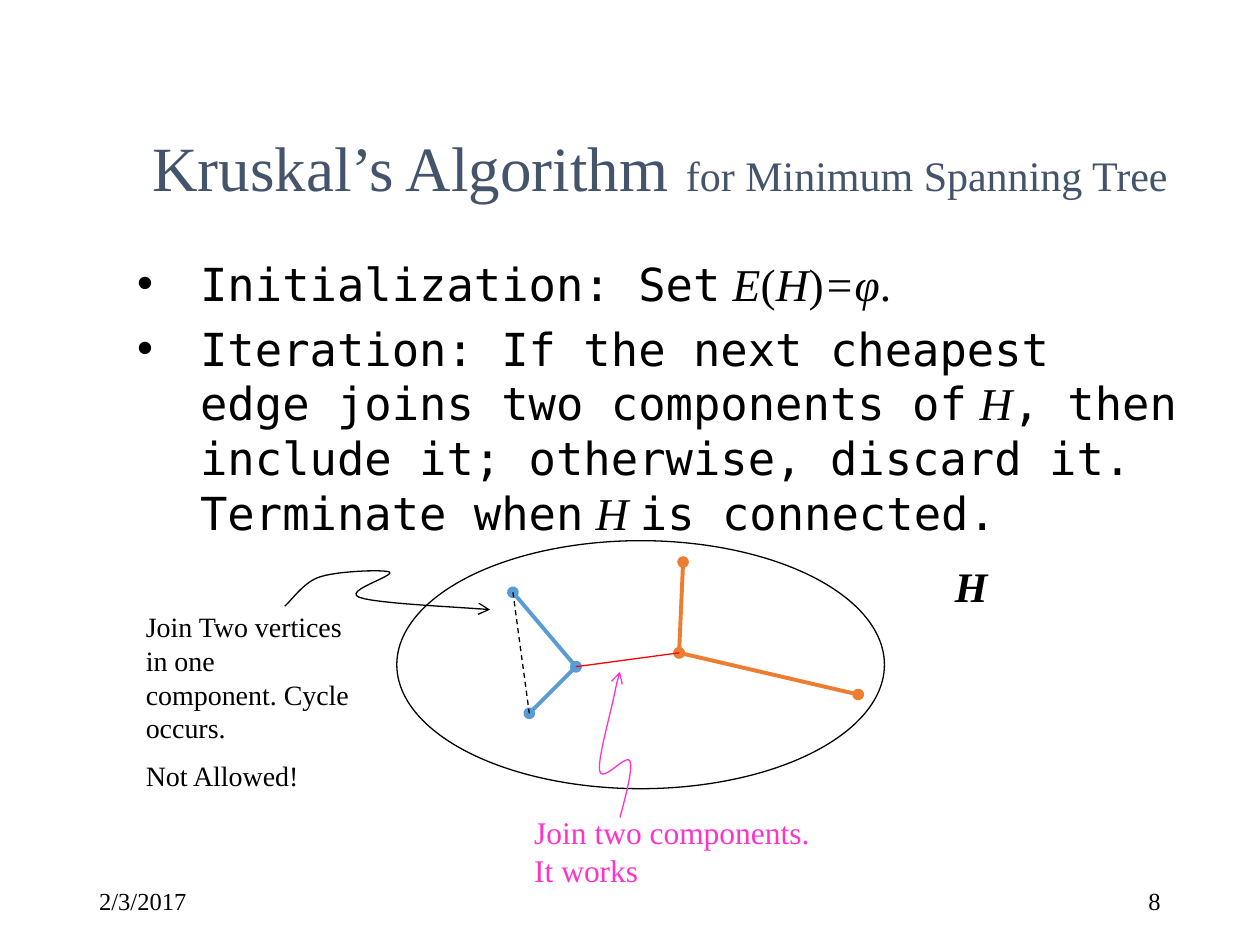
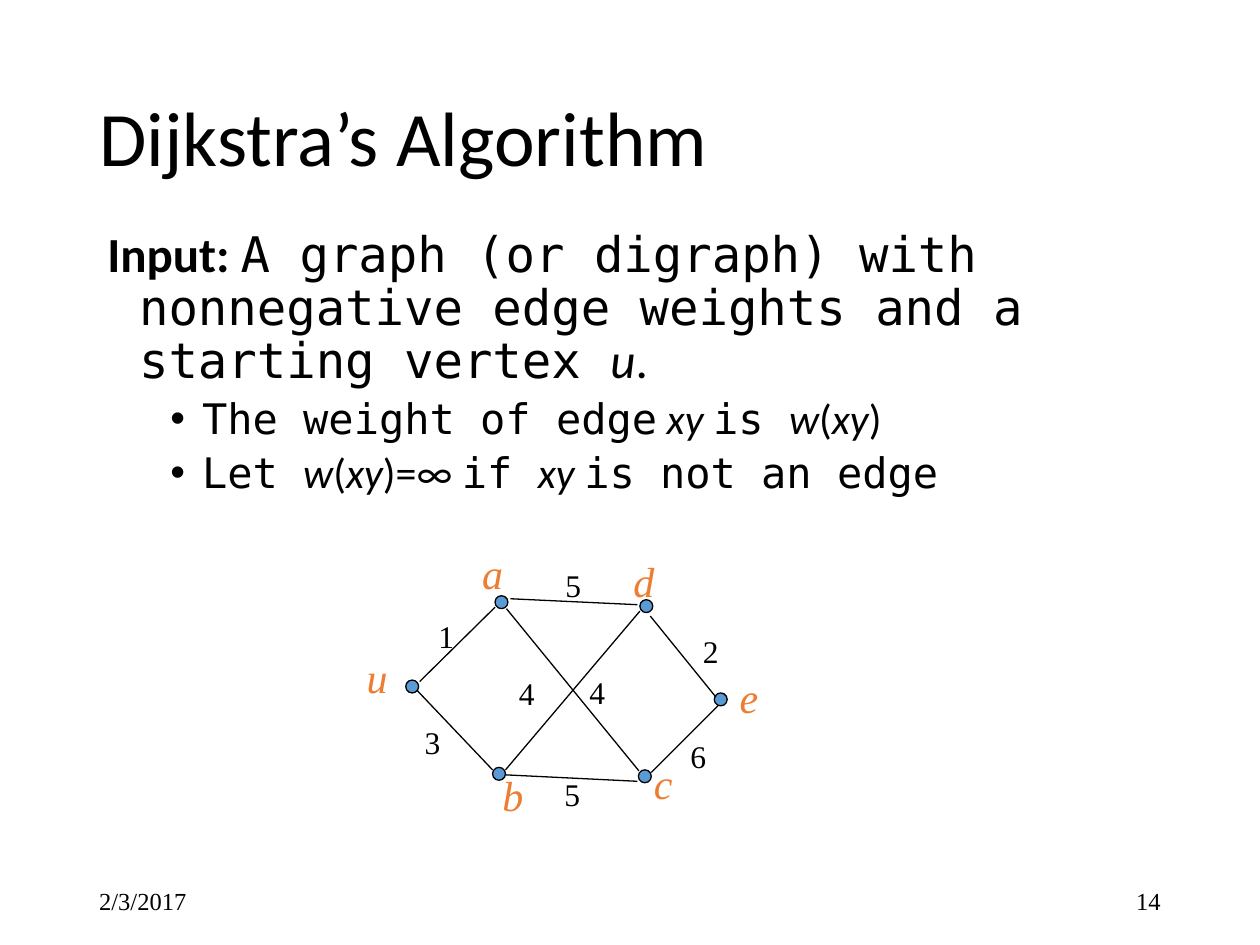
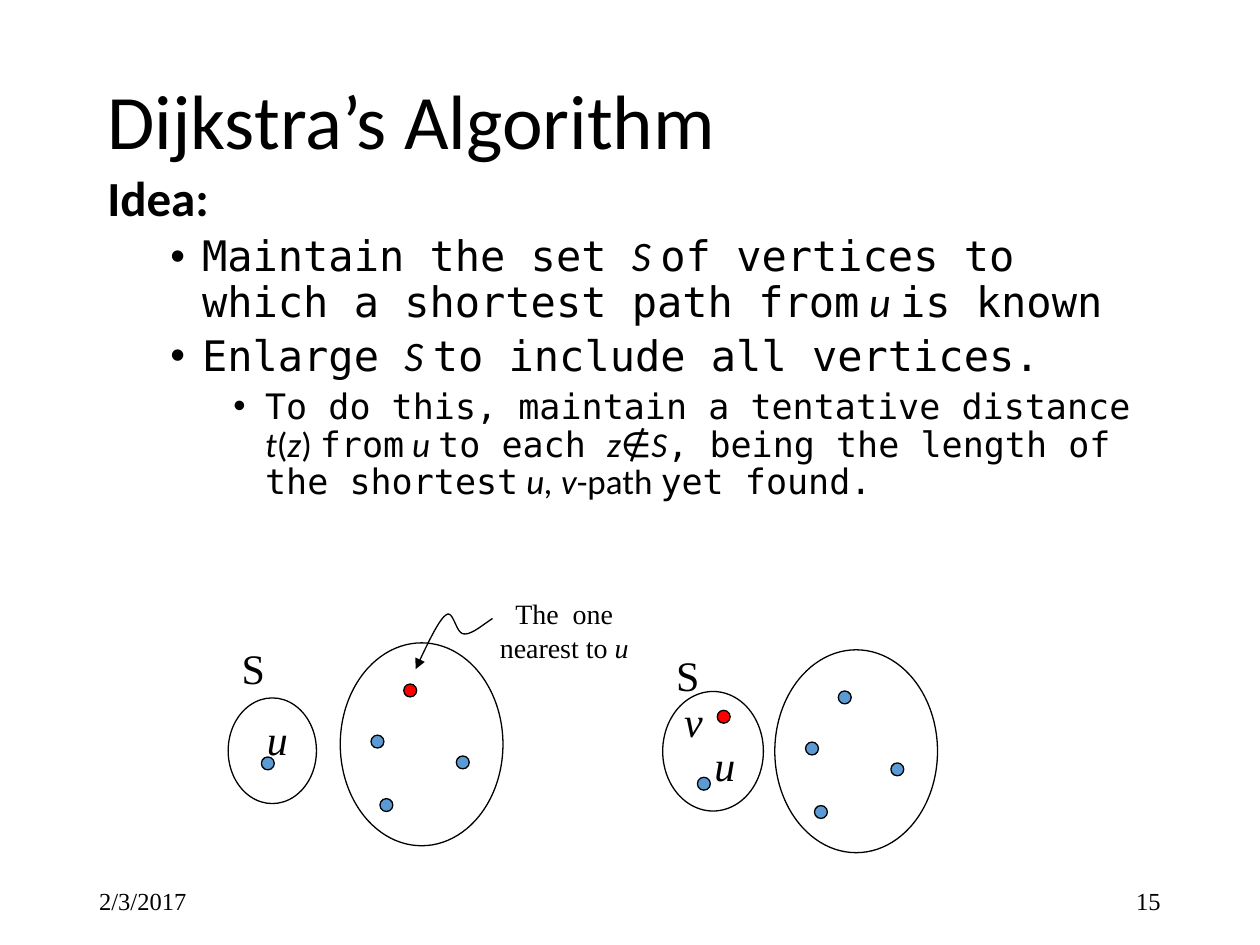
from dataclasses import dataclass
from typing import NamedTuple

from lxml.etree import SubElement
from pptx import Presentation
from pptx.dml.color import RGBColor
from pptx.enum.dml import MSO_LINE_DASH_STYLE as Dash
from pptx.enum.shapes import MSO_CONNECTOR as Connector, MSO_SHAPE as Shape
from pptx.enum.text import MSO_ANCHOR as Anchor, MSO_AUTO_SIZE as AutoSize, PP_ALIGN as Align
from pptx.oxml.ns import qn
from pptx.util import Cm, Pt


@dataclass(frozen=True)
class Theme:
    black: str = "000000"
    slate: str = "44546A"
    blue: str = "5B9BD5"
    orange: str = "ED7D31"
    red: str = "FF0000"
    pink: str = "FF33CC"
    serif: str = "Times New Roman"
    sans: str = "Calibri"
    mono: str = "DejaVu Sans Mono"
    title: int = 44
    label: int = 24
    weight: int = 18
    note: int = 16
    footer: int = 14
    thin: float = 0.75
    thick: float = 2.25
    dot: float = 0.26


THEME = Theme()
MONO = dict(font=THEME.mono)
MATH = dict(font=THEME.sans, italic=True)
PLAIN = dict(font=THEME.sans)
HEAD = dict(font=THEME.sans, bold=True)
SERIF = dict(font=THEME.serif)
SERIF_MATH = dict(font=THEME.serif, italic=True)


class Box(NamedTuple):
    """A region in centimetres."""
    left: float
    top: float
    width: float
    height: float

    def inner(self, x, y, width, height):
        return Box(self.left + x, self.top + y, width, height)

    def point(self, spot):
        return Cm(self.left + spot[0]), Cm(self.top + spot[1])

    def lengths(self):
        return [Cm(value) for value in self]


# Text

def add_span(para, text, font=THEME.serif, size=THEME.label, color=THEME.black,
             bold=False, italic=False):
    span = para.add_run()
    span.text = text
    span.font.name, span.font.size = font, Pt(size)
    span.font.bold, span.font.italic = bold, italic
    span.font.color.rgb = RGBColor.from_string(color)


def prepare_frame(frame, anchor=Anchor.TOP):
    frame.word_wrap = True
    frame.auto_size = AutoSize.NONE
    frame.vertical_anchor = anchor


def add_text(page, box, *lines, align=Align.LEFT, anchor=Anchor.TOP, gap=0, **style):
    """Each line is a string or a list of (text, format) spans."""
    frame = page.shapes.add_textbox(*box.lengths()).text_frame
    prepare_frame(frame, anchor)
    for number, line in enumerate(lines):
        para = frame.add_paragraph() if number else frame.paragraphs[0]
        para.alignment = align
        para.space_before = Pt(gap if number else 0)
        for text, extra in [(line, {})] if isinstance(line, str) else line:
            add_span(para, text, **{**style, **extra})


def place(holder, box):
    holder.left, holder.top, holder.width, holder.height = box.lengths()


def fill_title(page, box, *spans, align=Align.LEFT, spacing=0.9):
    title = page.shapes.title
    place(title, box)
    prepare_frame(title.text_frame, Anchor.MIDDLE)
    para = title.text_frame.paragraphs[0]
    para.alignment, para.line_spacing = align, spacing
    for text, style in spans:
        add_span(para, text, **style)


def fill_body(page, box, items, spacing=0.9):
    """Each item is (level, size, indent, hanging, gap, bulleted, spans)."""
    body = page.placeholders[1]
    place(body, box)
    frame = body.text_frame
    prepare_frame(frame)
    for number, (level, size, indent, hanging, gap, bulleted, spans) in enumerate(items):
        para = frame.add_paragraph() if number else frame.paragraphs[0]
        para.level, para.alignment = level, Align.LEFT
        para.line_spacing, para.space_before = spacing, Pt(gap)
        props = para._p.get_or_add_pPr()
        props.set("marL", str(Cm(indent)))
        props.set("indent", str(-Cm(hanging)))
        if bulleted:
            SubElement(props, qn("a:buFont"), typeface="Arial")
            SubElement(props, qn("a:buChar"), char="•")
        else:
            SubElement(props, qn("a:buNone"))
        for text, style in spans:
            add_span(para, text, size=size, **style)


def lead(*spans):
    return 0, 28, 0.64, 0.64, 10, False, spans


def bullet(level, *spans):
    return level, 28 - 4 * level, 0.64 + 1.27 * level, 0.64, 5, True, spans


def step(*spans):
    return 0, 26, 1.27, 1.27, 6, True, spans


# Drawing

def style_line(shape, color, width, dash=None, head=None, tail=None):
    shape.line.color.rgb = RGBColor.from_string(color)
    shape.line.width = Pt(width)
    if dash:
        shape.line.dash_style = dash
    outline = shape.element.spPr.find(qn("a:ln"))
    for tag, kind in (("a:headEnd", head), ("a:tailEnd", tail)):
        if kind:
            SubElement(outline, qn(tag), type=kind)


def add_line(page, box, start, end, color=THEME.black, width=THEME.thin, **ends):
    line = page.shapes.add_connector(Connector.STRAIGHT, *box.point(start), *box.point(end))
    style_line(line, color, width, **ends)
    SubElement(line.element.spPr, qn("a:effectLst"))


def add_ellipse(page, box, fill=None):
    ellipse = page.shapes.add_shape(Shape.OVAL, *box.lengths())
    ellipse.shadow.inherit = False
    if fill:
        ellipse.fill.solid()
        ellipse.fill.fore_color.rgb = RGBColor.from_string(fill)
    else:
        ellipse.fill.background()
    style_line(ellipse, THEME.black, THEME.thin)


def add_dot(page, box, center, fill=THEME.blue):
    x, y = (value - THEME.dot / 2 for value in center)
    add_ellipse(page, box.inner(x, y, THEME.dot, THEME.dot), fill)


def bezier(p0, p1, p2, p3, steps=12):
    for number in range(1, steps + 1):
        t = number / steps
        s = 1 - t
        yield tuple(s**3 * a + 3 * s * s * t * b + 3 * s * t * t * c + t**3 * d
                    for a, b, c, d in zip(p0, p1, p2, p3))


def add_curve(page, box, knots, color=THEME.black, **ends):
    """Knots are a start and then two controls and an end for each arc."""
    spots = [spot for first in range(0, len(knots) - 1, 3)
             for spot in bezier(*knots[first:first + 4])]
    builder = page.shapes.build_freeform(*box.point(knots[0]))
    builder.add_line_segments([box.point(spot) for spot in spots], close=False)
    curve = builder.convert_to_shape()
    curve.shadow.inherit = False
    curve.fill.background()
    style_line(curve, color, THEME.thin, **ends)


# Regions

def add_footer(page, box, number):
    style = dict(anchor=Anchor.MIDDLE, size=THEME.footer)
    add_text(page, box.inner(0, 0, 5.72, box.height), "2/3/2017", **style)
    add_text(page, box.inner(box.width - 5.72, 0, 5.72, box.height), str(number),
             align=Align.RIGHT, **style)


def draw_components(page, box):
    add_ellipse(page, box.inner(5.31, 0, 9.83, 5))
    add_text(page, box.inner(16.31, 0.28, 2.29, 1.27), "H", bold=True, italic=True)

    # Two components
    blue_top, blue_hub, blue_low = (7.65, 1.04), (8.92, 2.54), (7.98, 3.48)
    orange_top, orange_hub, orange_end = (11.08, 0.43), (11, 2.26), (14.61, 3.1)
    for start, end, color in ((blue_top, blue_hub, THEME.blue),
                              (blue_hub, blue_low, THEME.blue),
                              (orange_end, orange_hub, THEME.orange),
                              (orange_hub, orange_top, THEME.orange)):
        add_line(page, box, start, end, color, THEME.thick, head="oval", tail="oval")

    # Rejected edge
    add_line(page, box, blue_top, blue_low, dash=Dash.DASH)
    add_curve(page, box, [
        (3.05, 1.32), (3.18, 1.22), (3.43, 0.83), (3.76, 0.73), (4.12, 0.61),
        (5.03, 0.58), (5.16, 0.63), (5.29, 0.71), (4.22, 1.01), (4.55, 1.14),
        (4.88, 1.27), (6.63, 1.34), (7.19, 1.39)], tail="arrow")
    add_text(page, box.inner(0, 1.27, 4.6, 3.3),
             "Join Two vertices in one component. Cycle occurs.", "Not Allowed!",
             size=THEME.note, gap=8)

    # Accepted edge
    add_line(page, box, blue_hub, orange_hub, THEME.red)
    add_curve(page, box, [
        (9.81, 5.58), (9.86, 5.38), (10.09, 4.59), (10.01, 4.44), (9.93, 4.29),
        (9.45, 4.9), (9.4, 4.64), (9.35, 4.42), (9.65, 3.37), (9.71, 3.04),
        (9.78, 2.71), (9.78, 2.69), (9.81, 2.64)], THEME.pink, tail="arrow")
    add_text(page, box.inner(7.83, 5.36, 6.4, 1.78), "Join two components. It works",
             size=THEME.weight, color=THEME.pink)


def draw_weighted_graph(page, box):
    # Name, centre, label corner
    vertices = [("a", (2.97, 1.22), (2.33, 0)), ("d", (5.89, 1.3), (5.38, 0.15)),
                ("e", (7.39, 3.18), (7.52, 2.49)), ("c", (5.86, 4.73), (5.79, 4.22)),
                ("b", (2.92, 4.68), (2.74, 4.47)), ("u", (1.17, 2.92), (0, 2.08))]
    # Weight, start, end, label corner
    edges = [(1, (1.32, 2.82), (2.84, 1.32), (1.45, 1.4)),
             (3, (1.27, 3), (2.79, 4.6), (1.17, 3.53)),
             (5, (3.15, 1.15), (5.71, 1.27), (4.01, 0.36)),
             (4, (3.07, 1.35), (5.74, 4.62), (4.49, 2.52)),
             (5, (3.05, 4.7), (5.71, 4.83), (3.99, 4.57)),
             (4, (3.05, 4.6), (5.76, 1.4), (3.07, 2.54)),
             (6, (5.99, 4.65), (7.34, 3.3), (6.53, 3.81)),
             (2, (5.97, 1.5), (7.29, 3.13), (6.78, 1.7))]
    for name, center, corner in vertices:
        add_dot(page, box, center)
        add_text(page, box.inner(*corner, 0.99, 1.27), name, color=THEME.orange, italic=True)
    for weight, start, end, corner in edges:
        add_line(page, box, start, end)
        add_text(page, box.inner(*corner, 0.99, 1.02), str(weight), size=THEME.weight)


def draw_vertex_sets(page, box, known, members, nearest):
    """Known is the outline of S, members are (name, centre, label corner, fill)."""
    add_ellipse(page, box.inner(*known))
    add_ellipse(page, box.inner(2.26, 0.13, 3.28, 4.09))
    add_text(page, box.inner(0.02, 0, 1.37, 1.3), "S")
    for name, center, corner, fill in members:
        add_text(page, box.inner(*corner, 1.27, 1.3), name, italic=True)
        add_dot(page, box, center, fill)
    add_dot(page, box, (3.67, 1.09), nearest)
    for center in ((3.01, 2.12), (3.19, 3.4), (4.73, 2.54)):
        add_dot(page, box, center)


def draw_nearest_note(page, box):
    add_text(page, box.inner(1.42, 0, 3.15, 1.63),
             [("The  one nearest to ", {}), ("u", dict(italic=True))],
             align=Align.CENTER, size=THEME.note)
    add_curve(page, box, [
        (0, 1.58), (0.23, 1.09), (0.46, 0.59), (0.61, 0.49), (0.76, 0.36),
        (0.81, 0.87), (0.97, 0.87), (1.12, 0.89), (1.32, 0.71), (1.55, 0.56)],
        head="triangle")


# Slides

def build_kruskal(page):
    slate = dict(color=THEME.slate)
    fill_title(page, Box(2.51, 2.01, 21.59, 2.82),
               ("Kruskal’s Algorithm", dict(size=36, **slate)),
               (" ", dict(size=40, **slate)),
               ("for Minimum Spanning Tree", dict(size=24, **slate)),
               align=Align.CENTER, spacing=0.85)
    fill_body(page, Box(2.51, 5.03, 21.59, 4.9), [
        step(("Initialization: Set", MONO), (" E", SERIF_MATH), ("(", SERIF),
             ("H", SERIF_MATH), (")", SERIF), ("=φ", SERIF_MATH), (".", SERIF)),
        step(("Iteration: If the next cheapest edge joins two components of", MONO),
             (" H", SERIF_MATH),
             (", then include it; otherwise, discard it. Terminate when", MONO),
             (" H ", SERIF_MATH), ("is connected.", MONO)),
    ], spacing=1.0)
    draw_components(page, Box(2.69, 10.9, 18.6, 7.14))


def build_dijkstra_input(page):
    fill_title(page, Box(1.75, 1.02, 21.89, 3.68),
               ("Dijkstra’s Algorithm", dict(size=THEME.title, **PLAIN)))
    fill_body(page, Box(1.91, 4.52, 21.59, 5.16), [
        lead(("Input: ", HEAD),
             ("A graph (or digraph) with nonnegative edge weights and a starting vertex ", MONO),
             ("u", MATH), (".", PLAIN)),
        bullet(1, ("The weight of edge", MONO), (" xy ", MATH), ("is ", MONO), ("w", MATH),
               ("(", PLAIN), ("xy", MATH), (")", PLAIN)),
        bullet(1, ("Let ", MONO), ("w", MATH), ("(", PLAIN), ("xy", MATH), (")=∞ ", PLAIN),
               ("if ", MONO), ("xy ", MATH), ("is not an edge", MONO)),
    ])
    draw_weighted_graph(page, Box(7.14, 10.92, 8.51, 5.74))


def build_dijkstra_idea(page):
    fill_title(page, Box(1.91, 1.3, 21.59, 2.41),
               ("Dijkstra’s Algorithm", dict(size=THEME.title, **PLAIN)))
    fill_body(page, Box(1.91, 3.38, 21.59, 8.36), [
        lead(("Idea:", HEAD)),
        bullet(1, ("Maintain the set ", MONO), ("S ", MATH),
               ("of vertices to which a shortest path from", MONO), (" u ", MATH),
               ("is known", MONO)),
        bullet(1, ("Enlarge ", MONO), ("S ", MATH), ("to include all vertices.", MONO)),
        bullet(2, ("To do this, maintain a tentative distance ", MONO), ("t", MATH),
               ("(", PLAIN), ("z", MATH), (") ", PLAIN), ("from", MONO), (" u ", MATH),
               ("to each ", MONO), ("z∉S", MATH),
               (", being the length of the shortest", MONO), (" u, v", MATH),
               ("-path ", PLAIN), ("yet found.", MONO)),
    ])
    draw_vertex_sets(page, Box(4.6, 12.83, 5.54, 4.22), (0, 1.24, 1.78, 2.13),
                     [("u", (0.8, 2.56), (0.53, 1.42), THEME.blue)], THEME.red)
    draw_vertex_sets(page, Box(13.36, 12.97, 5.54, 4.22), (0, 0.97, 2.03, 2.41),
                     [("u", (0.83, 2.83), (0.79, 1.81), THEME.blue),
                      ("v", (1.23, 1.48), (0.18, 0.92), THEME.red)], THEME.blue)
    draw_nearest_note(page, Box(8.38, 11.91, 4.57, 1.63))


def main():
    deck = Presentation()
    deck.slide_width, deck.slide_height = Cm(25.4), Cm(19.05)
    for number, build in ((8, build_kruskal), (14, build_dijkstra_input),
                          (15, build_dijkstra_idea)):
        page = deck.slides.add_slide(deck.slide_layouts[1])
        build(page)
        add_footer(page, Box(1.75, 17.65, 21.9, 1.02), number)
    deck.save("out.pptx")


if __name__ == "__main__":
    main()
